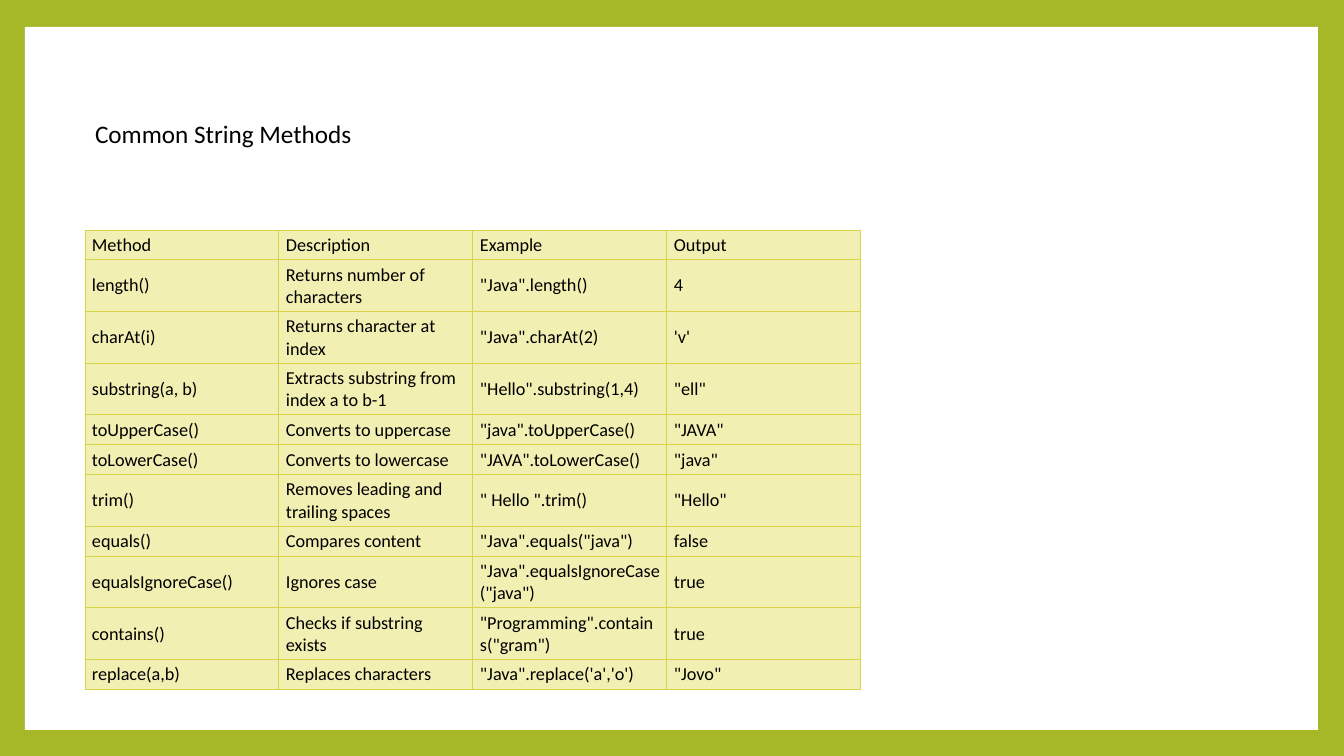
from lxml import etree
from pptx import Presentation
from pptx.dml.color import RGBColor
from pptx.enum.shapes import MSO_SHAPE
from pptx.enum.text import MSO_ANCHOR, MSO_AUTO_SIZE, PP_ALIGN
from pptx.oxml.ns import qn
from pptx.util import Emu, Pt

RECTANGLE = MSO_SHAPE.RECTANGLE
MIDDLE = MSO_ANCHOR.MIDDLE
FIT_SHAPE = MSO_AUTO_SIZE.SHAPE_TO_FIT_TEXT
LEFT = PP_ALIGN.LEFT

PX = 914400 / 100.8
GREEN, WHITE, BLACK = "A6B727", "FFFFFF", "000000"
CELL_FILL, CELL_BORDER = "F2EFB3", "D7D447"
COLUMN_WIDTH, SHORT_ROW, TALL_ROW = 194, 29, 51


def paint(fill, color):
    fill.solid()
    fill.fore_color.rgb = RGBColor.from_string(color)


def write(frame, text, size, margin_x, margin_y, wrap=True):
    frame.margin_left = frame.margin_right = Emu(round(margin_x * PX))
    frame.margin_top = frame.margin_bottom = Emu(round(margin_y * PX))
    frame.word_wrap = wrap
    para = frame.paragraphs[0]
    para.alignment = LEFT
    para.line_spacing = 1.0
    para.space_before = Pt(0)
    span = para.add_run()
    span.text = text
    span.font.name = "Calibri"
    span.font.size = Pt(size)
    paint(span.font.fill, BLACK)


deck = Presentation()
deck.slide_width, deck.slide_height = [Emu(round(n * PX)) for n in (1344, 756)]
slide = deck.slides.add_slide(deck.slide_layouts[5])
paint(slide.background.fill, GREEN)

panel = slide.shapes.add_shape(
    RECTANGLE, *[Emu(round(n * PX)) for n in (25, 27, 1293, 703)])
panel.shadow.inherit = False
paint(panel.fill, WHITE)
panel.line.fill.background()
slide.shapes.element.insert(2, panel.element)

title = slide.shapes.title
title.left, title.top, title.width, title.height = [
    Emu(round(n * PX)) for n in (85, 113, 285, 41)]
write(title.text_frame, "Common String Methods", 18, 10, 5, wrap=False)
title.text_frame.vertical_anchor = MIDDLE
title.text_frame.auto_size = FIT_SHAPE

methods = [
    ("Method", "Description", "Example", "Output"),
    ("length()", "Returns number of characters", '"Java".length()', "4"),
    ("charAt(i)", "Returns character at index", '"Java".charAt(2)', "'v'"),
    ("substring(a, b)", "Extracts substring from index a to b-1",
     '"Hello".substring(1,4)', '"ell"'),
    ("toUpperCase()", "Converts to uppercase", '"java".toUpperCase()', '"JAVA"'),
    ("toLowerCase()", "Converts to lowercase", '"JAVA".toLowerCase()', '"java"'),
    ("trim()", "Removes leading and trailing spaces", '" Hello ".trim()', '"Hello"'),
    ("equals()", "Compares content", '"Java".equals("java")', "false"),
    ("equalsIgnoreCase()", "Ignores case", '"Java".equalsIgnoreCase("java")', "true"),
    ("contains()", "Checks if substring exists", '"Programming".contains("gram")', "true"),
    ("replace(a,b)", "Replaces characters", "\"Java\".replace('a','o')", '"Jovo"'),
]
heights = [TALL_ROW if max(map(len, row)) > 23 else SHORT_ROW for row in methods]
table = slide.shapes.add_table(
    len(methods), 4,
    *[Emu(round(n * PX)) for n in (85, 230, 4 * COLUMN_WIDTH, sum(heights))]).table
table.first_row = table.horz_banding = False
for column in table.columns:
    column.width = Emu(round(COLUMN_WIDTH * PX))

for row, height, texts in zip(table.rows, heights, methods):
    row.height = Emu(round(height * PX))
    for cell, text in zip(row.cells, texts):
        write(cell.text_frame, text, 13, 7, 4)
        cell.margin_left = cell.margin_right = Emu(round(7 * PX))
        cell.margin_top = cell.margin_bottom = Emu(round(4 * PX))
        cell.vertical_anchor = MIDDLE
        properties = cell._tc.get_or_add_tcPr()
        for side in ("a:lnL", "a:lnR", "a:lnT", "a:lnB"):
            border = etree.SubElement(properties, qn(side), w=str(Pt(0.79)))
            solid = etree.SubElement(border, qn("a:solidFill"))
            etree.SubElement(solid, qn("a:srgbClr"), val=CELL_BORDER)
        paint(cell.fill, CELL_FILL)

deck.save("out.pptx")
